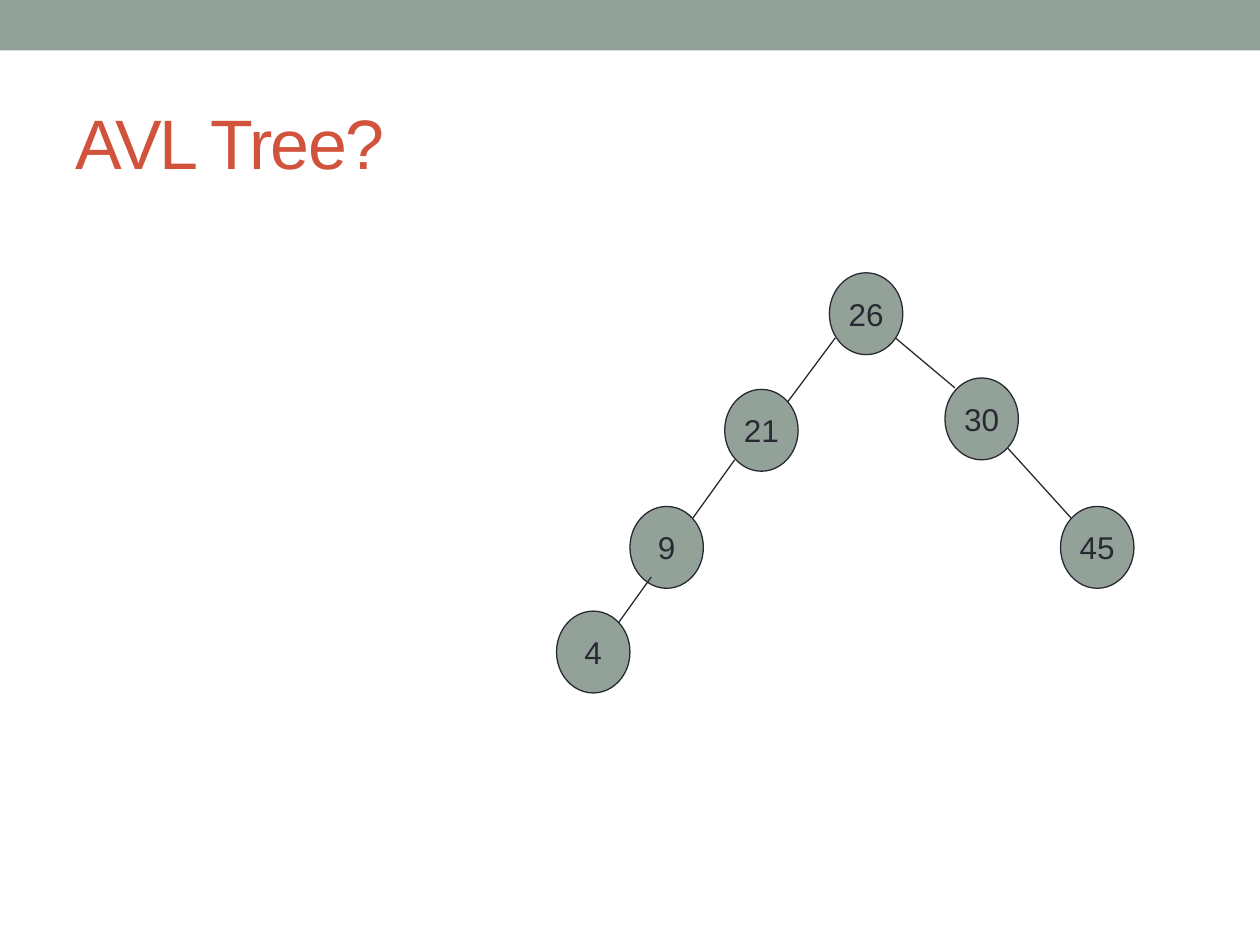
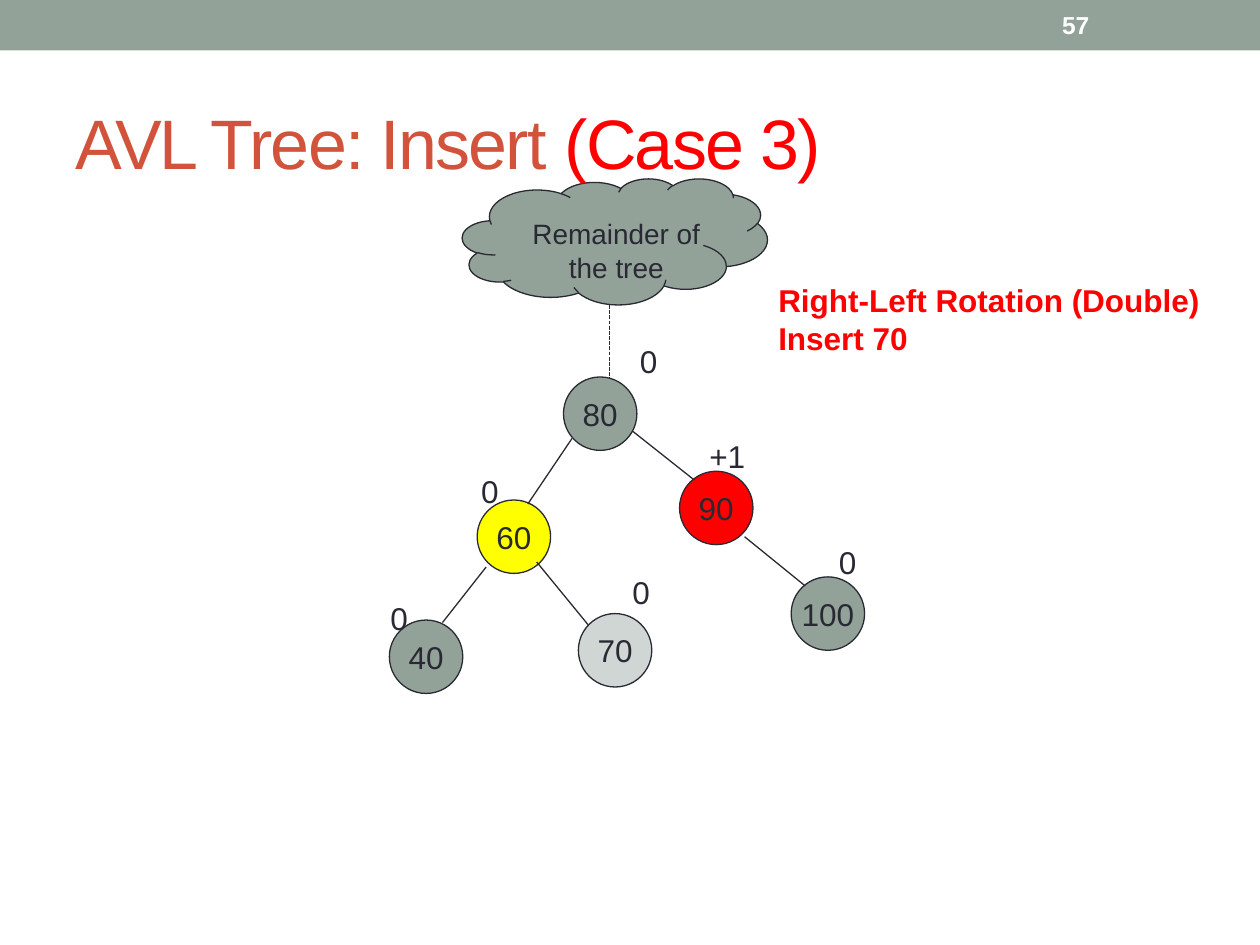
from lxml import etree
from pptx import Presentation
from pptx.dml.color import RGBColor
from pptx.enum.dml import MSO_LINE_DASH_STYLE as Dash
from pptx.enum.shapes import MSO_CONNECTOR as Connector, MSO_SHAPE as Shape
from pptx.enum.text import MSO_ANCHOR as Anchor, PP_ALIGN as Align
from pptx.oxml.ns import qn
from pptx.util import Cm, Pt

COLORS = {name: RGBColor.from_string(value) for name, value in {
    "sage": "93A299", "ink": "292934", "rust": "D2533C",
    "red": "FF0000", "yellow": "FFFF00", "white": "FFFFFF",
}.items()}
FONT = "Arial"
NODE_WIDTH = 1.48


def write(shape, lines, size=18, color="ink", bold=False, align=Align.LEFT,
          anchor=Anchor.TOP, wrap=False):
    """Fill a shape with one paragraph per line of text."""
    frame = shape.text_frame
    frame.word_wrap = wrap
    frame.vertical_anchor = anchor
    frame.text = lines
    for paragraph in frame.paragraphs:
        paragraph.alignment = align
        paragraph.font.name = FONT
        paragraph.font.size = Pt(size)
        paragraph.font.bold = bold
        paragraph.font.color.rgb = COLORS[color]


def add_filled(slide, kind, left, top, width, height, fill="sage", outlined=True):
    """Add a flat preset shape, with a thin dark outline if wanted."""
    shape = slide.shapes.add_shape(kind, Cm(left), Cm(top), Cm(width), Cm(height))
    shape.shadow.inherit = False
    shape.fill.solid()
    shape.fill.fore_color.rgb = COLORS[fill]
    if outlined:
        shape.line.color.rgb = COLORS["ink"]
        shape.line.width = Pt(0.75)
    else:
        shape.line.fill.background()
    return shape


# Nodes: value, left, top, fill. Edges: start x, y, end x, y. Balances: text, left, top.
trees = [
    {
        "title": ["AVL Tree?"],
        "node_height": 1.65,
        "nodes": [
            ("26", 16.72, 5.5, "sage"), ("21", 14.61, 7.85, "sage"),
            ("30", 19.05, 7.62, "sage"), ("9", 12.7, 10.21, "sage"),
            ("45", 21.38, 10.21, "sage"), ("4", 11.22, 12.32, "sage"),
        ],
        "edges": [
            (16.84, 6.81, 15.88, 8.1), (18.06, 6.82, 19.25, 7.82),
            (14.81, 9.27, 13.97, 10.44), (20.32, 9.04, 21.59, 10.44),
            (13.13, 11.63, 12.47, 12.55),
        ],
        "balances": [],
    },
    {
        "title": ["AVL Tree: Insert ", "(Case 3)"],
        "node_height": NODE_WIDTH,
        "nodes": [
            ("80", 11.36, 7.6, "sage"), ("60", 9.62, 10.08, "yellow"),
            ("90", 13.7, 9.5, "red"), ("40", 7.85, 12.5, "sage"),
            ("70", 11.66, 12.37, "sage"), ("100", 15.95, 11.63, "sage"),
        ],
        "edges": [
            (11.53, 8.84, 10.64, 10.16), (12.75, 8.69, 14, 9.68),
            (9.8, 11.43, 8.92, 12.55), (10.82, 11.33, 11.86, 12.6),
            (15.01, 10.82, 16.23, 11.81),
        ],
        "balances": [
            ("0", 12.65, 6.78), ("0", 9.45, 9.4), ("+1", 14.05, 8.69),
            ("0", 7.62, 11.96), ("0", 12.5, 11.43), ("0", 16.66, 10.82),
        ],
    },
]

presentation = Presentation()
presentation.slide_width = Cm(25.4)
presentation.slide_height = Cm(19.05)

for tree in trees:
    slide = presentation.slides.add_slide(presentation.slide_layouts[6])

    # Top band
    add_filled(slide, Shape.RECTANGLE, 0, 0, 25.4, 1.02, outlined=False)
    is_insert = len(tree["title"]) > 1

    # Rest of the tree, behind the title
    if is_insert:
        add_filled(slide, Shape.CLOUD, 9.32, 3.6, 6.15, 2.54)

    # Title, with the case in red
    title = slide.shapes.add_textbox(Cm(1.27), Cm(1.48), Cm(22.86), Cm(2.74))
    write(title, tree["title"][0], 40, "rust", anchor=Anchor.MIDDLE, wrap=True)
    paragraph = title.text_frame.paragraphs[0]
    for case in tree["title"][1:]:
        run = paragraph.add_run()
        run.text = case
        run.font.color.rgb = COLORS["red"]
    for run in paragraph.runs:
        run.font._element.set("spc", "-100")

    # Nodes; the newly inserted 70 is translucent
    for value, left, top, fill in tree["nodes"]:
        node = add_filled(slide, Shape.OVAL, left, top, NODE_WIDTH,
                          tree["node_height"], fill)
        write(node, value, align=Align.CENTER, anchor=Anchor.MIDDLE)
        if value == "70":
            fill_color = node._element.spPr.find(qn("a:solidFill"))[0]
            etree.SubElement(fill_color, qn("a:alpha")).set("val", "43000")

    # Edges, plus the dashed link to the rest of the tree
    link = [(12.28, 6.15, 12.28, 7.62)] if is_insert else []
    for edge in tree["edges"] + link:
        line = slide.shapes.add_connector(Connector.STRAIGHT, *map(Cm, edge))
        line.line.color.rgb = COLORS["ink"]
        line.line.width = Pt(0.75)
        if edge in link:
            line.line.dash_style = Dash.SQUARE_DOT
        etree.SubElement(line._element.spPr, qn("a:effectLst"))

    # Balance factors
    for balance, left, top in tree["balances"]:
        width = 0.45 + 0.45 * len(balance)
        label = slide.shapes.add_textbox(Cm(left), Cm(top), Cm(width), Cm(1.02))
        write(label, balance)

# Texts that only the insert slide has
cloud_label = slide.shapes.add_textbox(Cm(10.24), Cm(4.24), Cm(4.37), Cm(1.63))
write(cloud_label, "Remainder of\nthe tree", 16, align=Align.CENTER, wrap=True)

rotation = slide.shapes.add_textbox(Cm(15.44), Cm(5.54), Cm(9.35), Cm(1.8))
write(rotation, "Right-Left Rotation (Double)\nInsert 70", color="red", bold=True)

slide_number = slide.shapes.add_textbox(Cm(21.16), Cm(0.05), Cm(2.97), Cm(0.91))
write(slide_number, "57", 14, "white", bold=True, anchor=Anchor.MIDDLE, wrap=True)

presentation.save("out.pptx")
